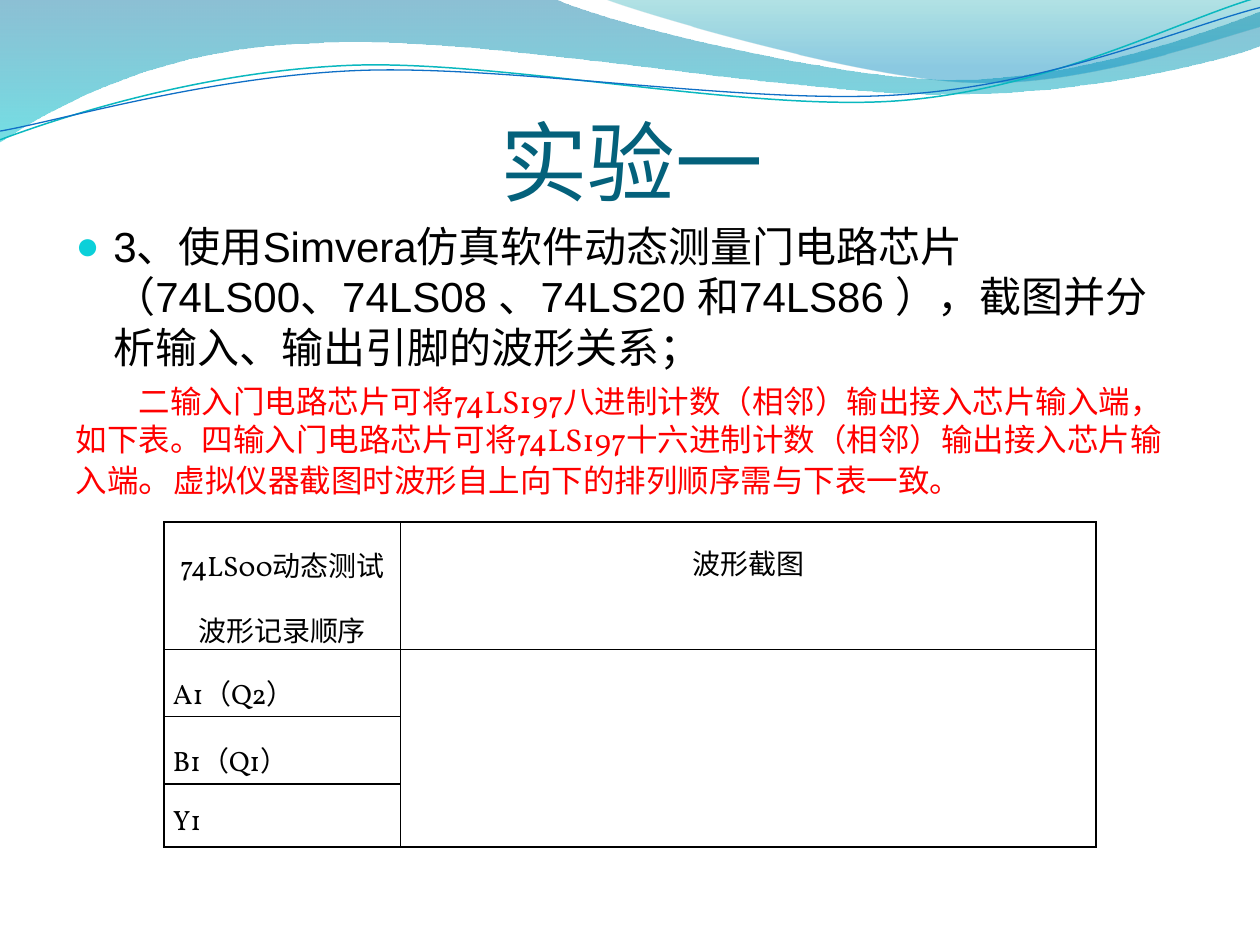
import pptx
import pptx.dml.color
import pptx.enum.text
import pptx.oxml
import pptx.oxml.ns
import pptx.util

Pt = pptx.util.Pt
qn = pptx.oxml.ns.qn
ALIGN = pptx.enum.text.PP_ALIGN
ANCHOR = pptx.enum.text.MSO_ANCHOR
NS = pptx.oxml.ns.nsdecls("a")


def rgb(value):
    return pptx.dml.color.RGBColor.from_string(value)


def add_text(paragraph, text, size=16, font="Vollkorn", color="000000", align=None, spacing=None):
    run = paragraph.add_run()
    run.text = text
    run.font.size = Pt(size)
    run.font.name = font
    run.font.color.rgb = rgb(color)
    if align is not None:
        paragraph.alignment = align
    if spacing is not None:
        paragraph.line_spacing = spacing


deck = pptx.Presentation()
deck.slide_width, deck.slide_height = Pt(720), Pt(540)
slide = deck.slides.add_slide(deck.slide_layouts[1])
title, body = slide.placeholders[0], slide.placeholders[1]

# Header waves: pairs are straight steps, sextuples are Bézier steps
wide_wave = [(-0.4, -0.4), (316.8, -0.7), (342.7, 12.2, 478.1, 45.4, 545.8, 45.4),
             (614.2, 45.4, 689.8, 18.7, 720, 6.5), (720.7, 25.9),
             (707.8, 31.7, 626.4, 54.7, 537.1, 54), (447.8, 54, 275, 20.2, 185, 24.5),
             (92.9, 25.9, 33.1, 59.8, -0.7, 81.4)]
right_wave = [(344.9, -0.7), (366.5, 7.9, 491, 44.6, 553.7, 46.8),
              (616.3, 49.7, 691.9, 23, 720, 15.1), (720, 0)]
teal_curve = [(0, 79.9), (34.6, 67, 113.8, 41, 199.4, 37.4),
              (284.4, 33.8, 427, 64.1, 513.4, 57.6), (599.8, 51.1, 675.4, 10.8, 718.6, -1.4)]
blue_curve = [(0, 74.9), (33.8, 69.1, 118.1, 43.9, 203.8, 40.3),
              (290.2, 36.7, 429.8, 60.5, 516.2, 54), (601.9, 48.2, 677.5, 15.1, 720, 4.3)]
waves = [
    (wide_wave, [(0, "0074A1", 45), (1, "00C6CF", 55)], None),
    (right_wave, [(0, "00A1A9", 30), (0.8, "008BBF", 45)], None),
    (teal_curve, None, ("0AB8BF", 0.85)),
    (blue_curve, None, ("0F6FC6", 0.75)),
]
for outline, gradient, stroke in waves:
    anchors = [(Pt(step[-2]), Pt(step[-1])) for step in outline]
    builder = slide.shapes.build_freeform(*anchors[0])
    builder.add_line_segments(anchors[1:], close=gradient is not None)
    wave = builder.convert_to_shape()
    wave.shadow.inherit = False

    # Turn the curved steps from lines into Bézier segments
    for line, step in zip(list(wave.element.iter(qn("a:lnTo"))), outline[1:]):
        if len(step) == 6:
            controls = "".join(f'<a:pt x="{Pt(x) - wave.left}" y="{Pt(y) - wave.top}"/>'
                               for x, y in zip(step[::2], step[1::2]))
            line.addprevious(pptx.oxml.parse_xml(f"<a:cubicBezTo {NS}>{controls}</a:cubicBezTo>"))
            line.getparent().remove(line)

    if gradient:
        wave.line.fill.background()
        wave.fill.gradient()
        wave.fill.gradient_angle = 270
        for stop, (position, color, opacity) in zip(wave.fill.gradient_stops, gradient):
            stop.position = position
            stop.color.rgb = rgb(color)
        for element, (position, color, opacity) in zip(wave.element.iter(qn("a:srgbClr")), gradient):
            element.append(pptx.oxml.parse_xml(f'<a:alpha {NS} val="{opacity * 1000}"/>'))
    else:
        wave.fill.background()
        wave.line.color.rgb = rgb(stroke[0])
        wave.line.width = Pt(stroke[1])
    title.element.addprevious(wave.element)

# Title
title.left, title.top, title.width, title.height = Pt(37), Pt(31.7), Pt(648), Pt(90)
heading = title.text_frame
heading.auto_size = pptx.enum.text.MSO_AUTO_SIZE.NONE
heading.vertical_anchor = ANCHOR.BOTTOM
heading.margin_left = heading.margin_right = heading.margin_bottom = 0
heading.margin_top = Pt(3.6)
add_text(heading.paragraphs[0], "实验一", size=50, font="Calibri", color="04617B", align=ALIGN.CENTER)

# Task and instructions
body.left, body.top, body.width, body.height = Pt(36), Pt(122.4), Pt(648), Pt(375)
content = body.text_frame
content.auto_size = pptx.enum.text.MSO_AUTO_SIZE.NONE
task, instructions = content.paragraphs[0], content.add_paragraph()
task.space_before, instructions.space_before = Pt(0), Pt(6)
bullet = [f'<a:buClr {NS}><a:srgbClr val="0BD0D9"/></a:buClr>', f'<a:buSzPct {NS} val="95000"/>',
          f'<a:buFont {NS} typeface="Arial"/>', f'<a:buChar {NS} char="●"/>']
for paragraph, margin, indent, marks in [(task, 21.6, -21.6, bullet),
                                         (instructions, 0, 36, [f"<a:buNone {NS}/>"])]:
    properties = paragraph._p.get_or_add_pPr()
    properties.set("marL", str(Pt(margin)))
    properties.set("indent", str(Pt(indent)))
    for mark in marks:
        properties.append(pptx.oxml.parse_xml(mark))
add_text(task, "3、使用Simvera仿真软件动态测量门电路芯片（74LS00、74LS08 、74LS20 和74LS86 ），截图并分析",
         size=24, font="Arial")
add_text(task, "输入、输出引脚的波形关系；", size=24)
for text, size in [
    ("二输入门电路芯片可将74LS197八进制计数（相邻）输出接入芯片输入端，如下表。"
     "四输入门电路芯片可将74LS197十六进制计数（相邻）输出接入芯片输入端", 18),
    ("。", 20),
    ("虚拟仪器截图时波形自上向下的排列顺序需与下表一致。", 18),
]:
    add_text(instructions, text, size=size, color="FF0000")

# Waveform record table
record = slide.shapes.add_table(4, 2, Pt(93.6), Pt(298.2), Pt(532.8), Pt(176)).table
record.first_row = record.horz_banding = False
for column, width in zip(record.columns, (135.4, 397.4)):
    column.width = Pt(width)
for row, height in zip(record.rows, (70, 35, 35, 36)):
    row.height = Pt(height)
for cell in record.iter_cells():
    cell.margin_left = cell.margin_right = Pt(5.2)
    cell.margin_top = cell.margin_bottom = 0
    properties = cell._tc.get_or_add_tcPr()
    for side in "LRTB":
        properties.append(pptx.oxml.parse_xml(
            f'<a:ln{side} {NS} w="{Pt(1)}"><a:solidFill><a:srgbClr val="000000"/></a:solidFill></a:ln{side}>'))
    cell.fill.background()
record.cell(1, 1).merge(record.cell(3, 1))
for row, column, text, align in [
    (0, 0, "74LS00动态测试波形记录顺序", ALIGN.CENTER),
    (0, 1, "波形截图", ALIGN.CENTER),
    (1, 0, "A1（Q2）", ALIGN.JUSTIFY),
    (2, 0, "B1（Q1）", ALIGN.JUSTIFY),
    (3, 0, "Y1", ALIGN.JUSTIFY),
]:
    add_text(record.cell(row, column).text_frame.paragraphs[0], text, align=align, spacing=1.5)

deck.save("out.pptx")
